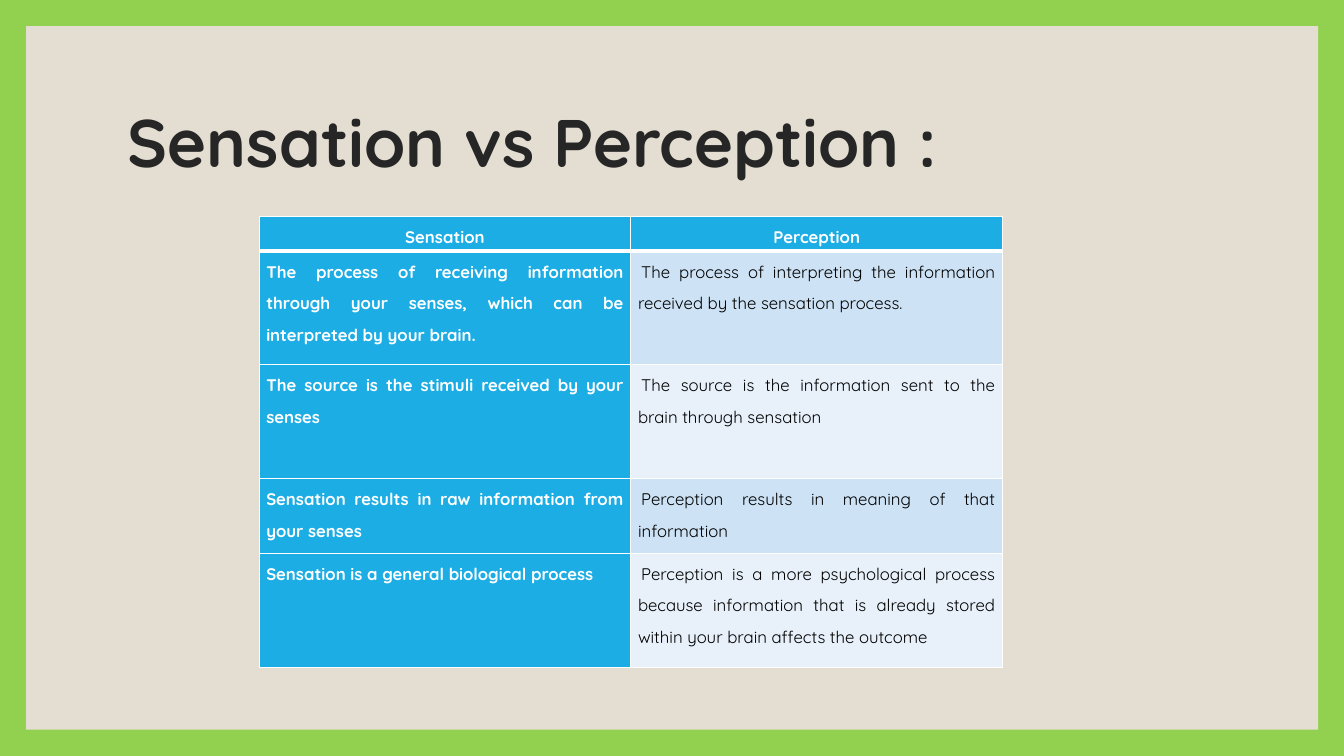
"""Build the slide that compares sensation with perception in a table."""
from lxml.etree import SubElement as Sub
from pptx import Presentation
from pptx.dml.color import RGBColor as RGB
from pptx.enum.shapes import MSO_SHAPE as Shape
from pptx.enum.text import MSO_ANCHOR as Anchor, PP_ALIGN as Align
from pptx.oxml.ns import qn
from pptx.util import Cm, Pt


def paint(fill, tone):
    fill.solid()
    fill.fore_color.rgb = RGB.from_string(tone)


def style(para, size, tone, bold):
    for run in para.runs:
        font = run.font
        font.name, font.size, font.bold = "Quicksand", Pt(size), bold
        paint(font.fill, tone)


deck = Presentation()
deck.slide_width, deck.slide_height = Cm(33.87), Cm(19.05)
slide = deck.slides.add_slide(deck.slide_layouts[6])
paint(slide.background.fill, "92D050")

panel = slide.shapes.add_shape(Shape.RECTANGLE, Cm(0.66), Cm(0.66), Cm(32.56), Cm(17.73))
panel.shadow.inherit = False
paint(panel.fill, "E3DED1")
panel.line.fill.background()

title = slide.shapes.add_textbox(Cm(2.97), Cm(1.78), Cm(27.94), Cm(3.81)).text_frame
title.word_wrap = True
title.vertical_anchor = Anchor.MIDDLE
title.text = "Sensation vs Perception :"
title.paragraphs[0].line_spacing = 0.9
style(title.paragraphs[0], 48, "262626", True)

rows = [
    ("Sensation", "Perception"),
    ("The process of receiving information through your senses, which can be interpreted by your brain.",
     "The process of interpreting the information received by the sensation process."),
    ("The source is the stimuli received by your senses",
     "The source is the information sent to the brain through sensation"),
    ("Sensation results in raw information from your senses",
     "Perception results in meaning of that information"),
    ("Sensation is a general biological process",
     "Perception is a more psychological process because information that is already stored "
     "within your brain affects the outcome"),
]
highs = [0.86, 2.87, 2.87, 1.88, 2.87]
grid = slide.shapes.add_table(5, 2, Cm(6.53), Cm(5.46), Cm(18.74), Cm(sum(highs))).table
for col in grid.columns:
    col.width = Cm(9.37)

for i, (high, words) in enumerate(zip(highs, rows)):
    grid.rows[i].height = Cm(high)
    for j, word in enumerate(words):
        cell = grid.cell(i, j)
        cell.margin_left = cell.margin_right = Cm(0.18)
        cell.margin_top = cell.margin_bottom = 0
        props = cell._tc.get_or_add_tcPr()
        for side in "LRTB":
            thick = (i, side) in [(0, "B"), (1, "T")]
            edge = Sub(props, qn("a:ln" + side), w=str(Pt(3 if thick else 1)))
            Sub(Sub(edge, qn("a:solidFill")), qn("a:srgbClr"), val="FFFFFF")
        head = i == 0
        strong = head or j == 0
        band = "CDE3F5" if i % 2 else "E8F1FA"
        paint(cell.fill, "1CADE4" if strong else band)
        cell.text_frame.text = word
        para = cell.text_frame.paragraphs[0]
        para.alignment = Align.CENTER if head else Align.JUSTIFY
        para.line_spacing = 1.5
        if not strong:
            para._p.get_or_add_pPr().set("indent", str(Cm(0.08)))
        style(para, 12, "FFFFFF" if strong else "000000", strong)

deck.save("out.pptx")
